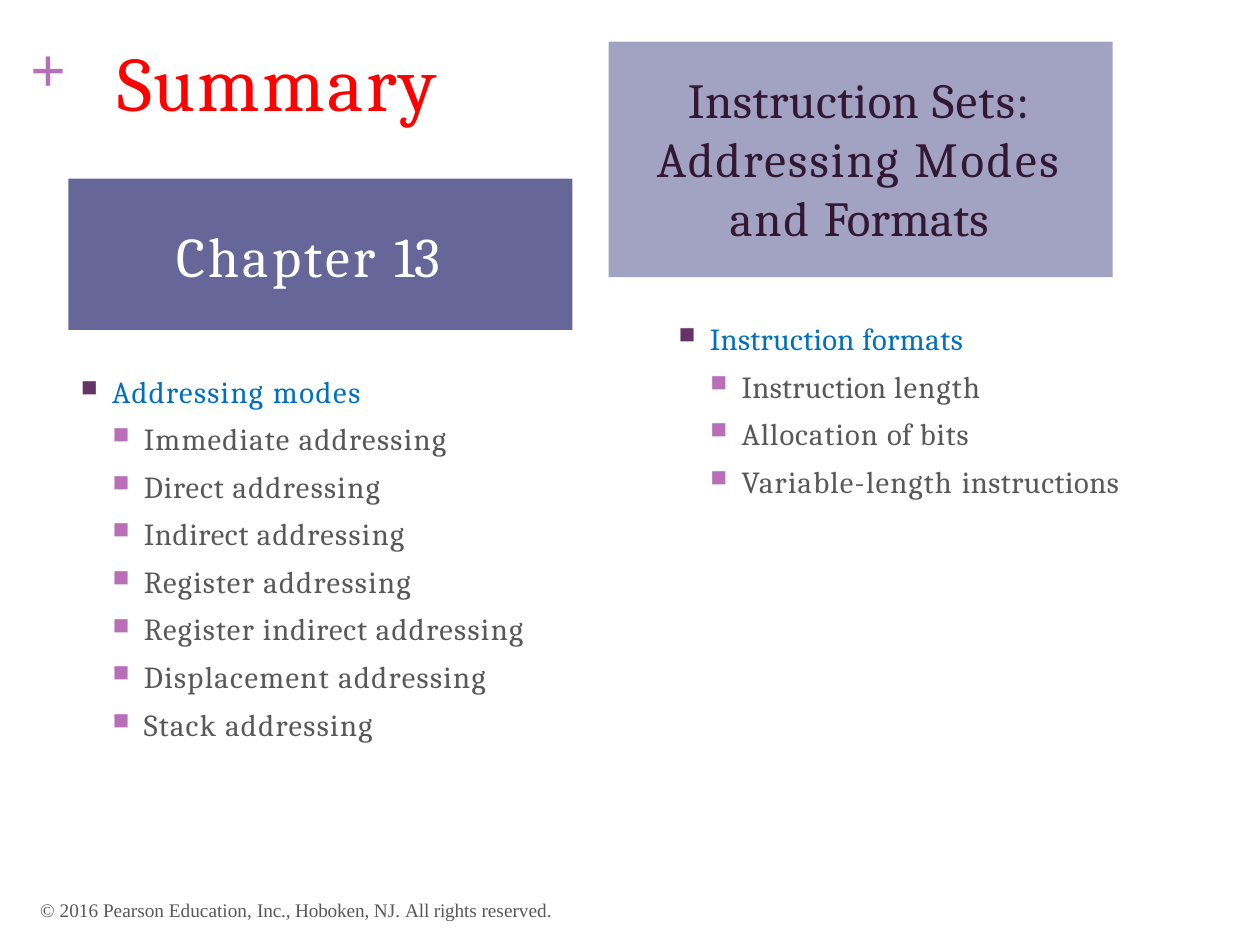
from lxml.etree import SubElement
from pptx import Presentation
from pptx.dml.color import RGBColor
from pptx.enum.shapes import MSO_SHAPE
from pptx.enum.text import MSO_ANCHOR, PP_ALIGN
from pptx.oxml.ns import qn
from pptx.util import Cm, Pt

SERIF = "Cambria"
TIMES = "Times New Roman"
GREY = "585858"
PLUM = "663366"
ORCHID = "B86FB8"
ADDRESSING = ("addressing", 0.8)

MODES = [
    [("Addressing ", 0.8), ("modes", 0.9)],
    [("Immediate ", 0.7), ADDRESSING],
    [("Direct ", 0.5), ADDRESSING],
    [("Indirect ", 0.4), ADDRESSING],
    [("Register ", 0.7), ADDRESSING],
    [("Register", 0.7), (" indirect ", 0.5), ADDRESSING],
    [("Displacement ", 0.8), ADDRESSING],
    [("Stack ", 0.7), ADDRESSING],
]
FORMATS = [
    [("Instruction ", 0.2), ("formats", 0.3)],
    [("Instruction ", 0.2), ("length", 0.7)],
    [("Allocation ", 0.6), ("of ", 0.3), ("bits", 0.5)],
    [("Variable-length ", 0.7), ("instructions", 0.3)],
]


def color(value):
    return RGBColor.from_string(value)


def set_frame(frame, wrap, left=0, top=0, right=0):
    settings = {
        "word_wrap": wrap,
        "vertical_anchor": MSO_ANCHOR.TOP,
        "margin_left": Cm(left),
        "margin_top": Cm(top),
        "margin_right": Cm(right),
        "margin_bottom": Cm(0),
    }
    for name, value in settings.items():
        setattr(frame, name, value)


def add_spans(paragraph, spans, size, fill, font=SERIF, bold=False):
    for text, spacing in spans:
        span = paragraph.add_run()
        span.text = text
        for name, value in {"name": font, "size": Pt(size), "bold": bold}.items():
            setattr(span.font, name, value)
        span.font.color.rgb = color(fill)
        span._r.get_or_add_rPr().set("spc", str(round(spacing * 100)))


def add_bullet(paragraph, fill, indent):
    properties = paragraph._p.get_or_add_pPr()
    properties.set("marL", str(Cm(indent)))
    properties.set("indent", str(-Cm(0.63)))
    bullet_color = SubElement(properties, qn("a:buClr"))
    SubElement(bullet_color, qn("a:srgbClr"), val=fill)
    SubElement(properties, qn("a:buSzPct"), val="74000")
    SubElement(properties, qn("a:buChar"), char="■")


def add_label(page, place, spans, size, fill, font=SERIF, bold=False):
    box = page.shapes.add_textbox(*map(Cm, place))
    set_frame(box.text_frame, False, top=0.03)
    paragraph = box.text_frame.paragraphs[0]
    add_spans(paragraph, spans, size, fill, font, bold)
    return paragraph


def add_outline(page, place, lines):
    box = page.shapes.add_textbox(*map(Cm, place))
    frame = box.text_frame
    set_frame(frame, True, top=0.25)
    for index, spans in enumerate(lines):
        paragraph = frame.add_paragraph() if index else frame.paragraphs[0]
        add_bullet(paragraph, ORCHID if index else PLUM, 1.3 if index else 0.66)
        if index:
            paragraph.space_before = Pt(6.2)
        add_spans(paragraph, spans, 17.5, GREY if index else "006FC0")


def add_panel(page, place, fill, spans, size, text_fill, align, margins):
    panel = page.shapes.add_shape(MSO_SHAPE.RECTANGLE, *map(Cm, place))
    panel.shadow.inherit = False
    panel.fill.solid()
    panel.fill.fore_color.rgb = color(fill)
    panel.line.fill.background()
    set_frame(panel.text_frame, True, *margins)
    paragraph = panel.text_frame.paragraphs[0]
    paragraph.alignment = align
    add_spans(paragraph, spans, size, text_fill)


def main():
    deck = Presentation()
    deck.slide_width, deck.slide_height = Cm(25.4), Cm(19.05)
    page = deck.slides.add_slide(deck.slide_layouts[6])

    notice = add_label(
        page, (0.81, 18.08, 10.44, 0.51),
        [("© 2016 Pearson Education, ", 0), ("Inc., Hoboken, ", -0.1), ("NJ. ", 0),
         ("All rights ", -0.1), ("reserved.", 0)],
        11, GREY, TIMES)
    notice.line_spacing = Pt(13.1)
    add_label(page, (0.61, 0.56, 0.79, 1.6), [("+", 0)], 36, ORCHID, TIMES, True)
    add_label(
        page, (2.36, 0.66, 6.83, 1.93),
        [("Su", 0.9), ("m", 1.6), ("ma", 1.3), ("r", 1.6), ("y", 2.6)], 44, "FF0000")

    add_outline(page, (1.6, 7.26, 9.45, 7.75), MODES)
    add_outline(page, (13.65, 6.2, 9.3, 3.91), FORMATS)

    add_panel(
        page, (1.38, 3.6, 10.16, 3.05), "666699", [("Chapter ", 1.8), ("13", -0.4)],
        32, "FFFFFF", PP_ALIGN.LEFT, (2.18, 0.86))
    add_panel(
        page, (12.27, 0.84, 10.16, 4.75), "A2A2C2",
        [("Instruction", 0.3), (" Sets: ", 0.8), ("Addressing ", 1.3),
         ("Modes ", 1.6), ("and ", 1.1), ("Formats", 0.1)],
        28, "331833", PP_ALIGN.CENTER, (0.75, 0.56, 0.81))

    deck.save("out.pptx")


if __name__ == "__main__":
    main()
